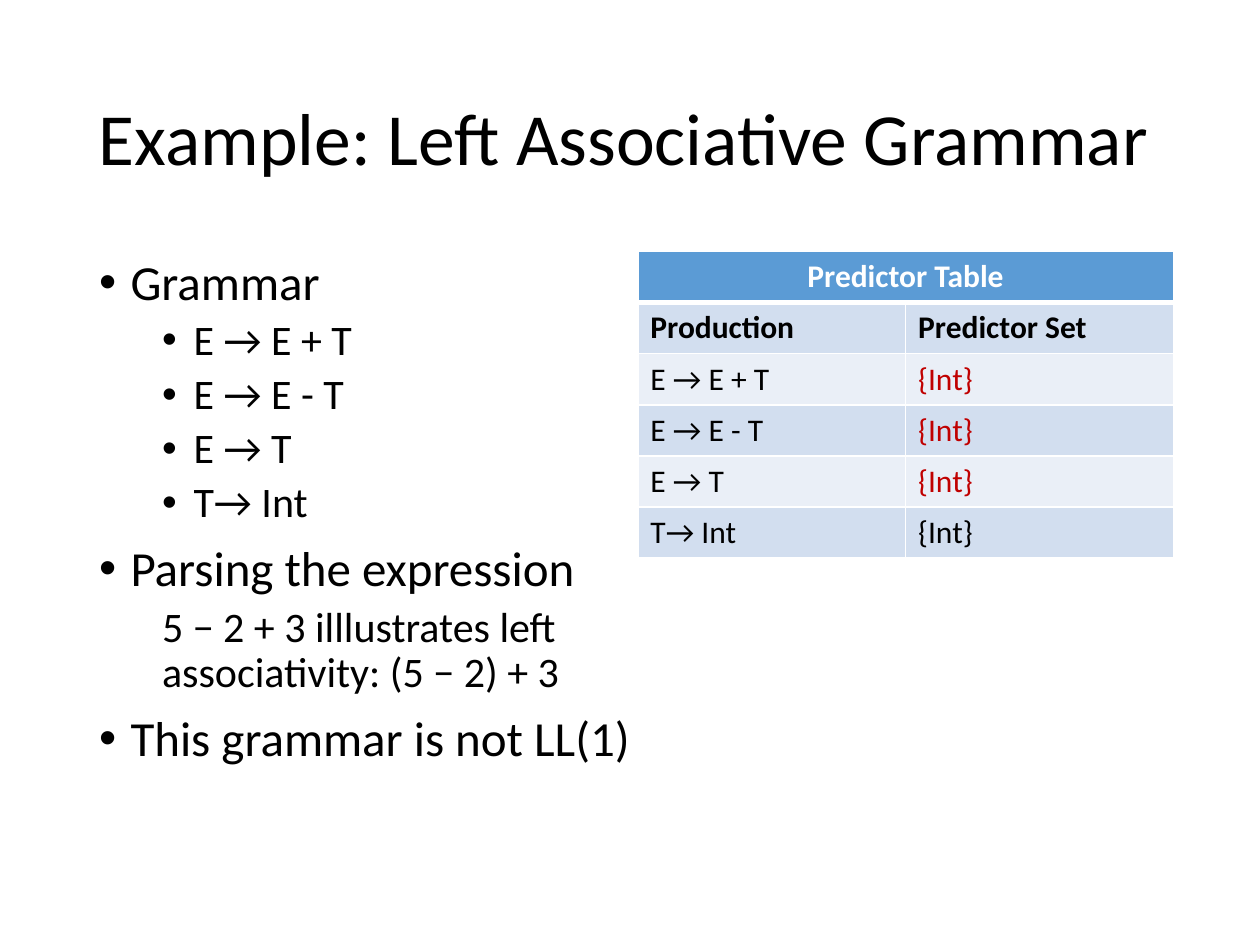
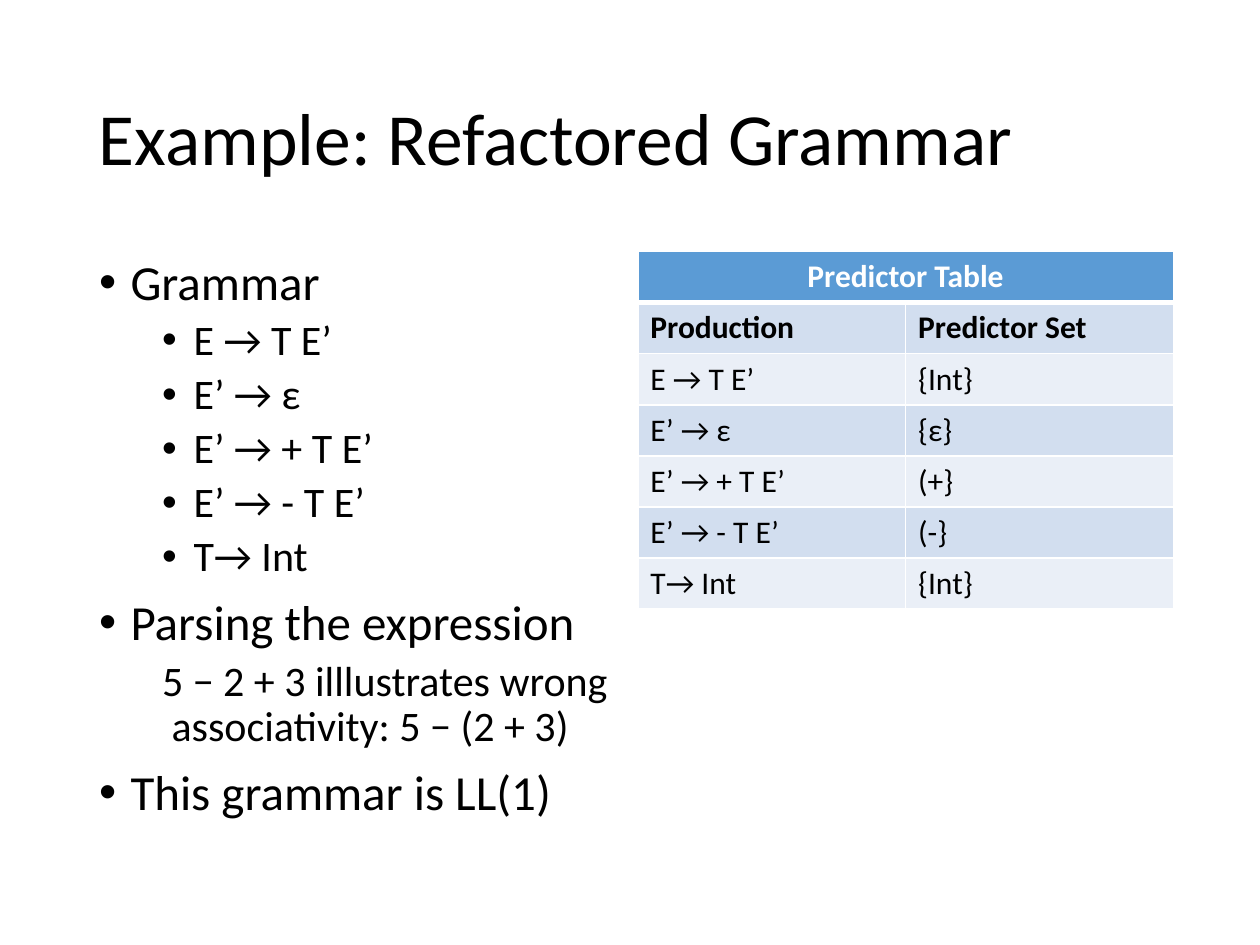
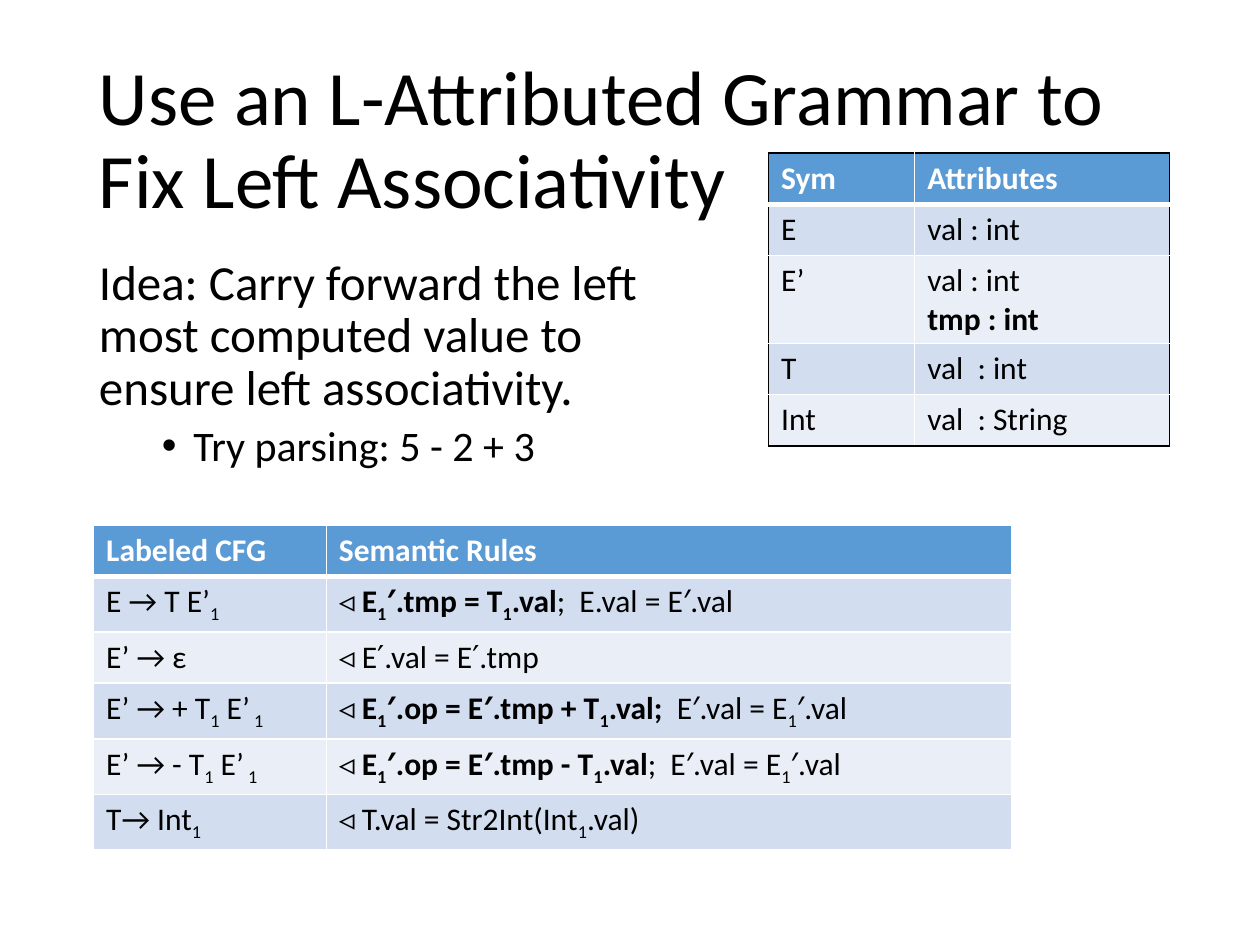
"""Three slides on left associativity in LL(1) grammars."""
import dataclasses

import pptx
import pptx.dml.color
import pptx.enum.text
import pptx.oxml
import pptx.oxml.ns
import pptx.util
from lxml import etree

Pt = pptx.util.Pt
ALIGN = pptx.enum.text.PP_ALIGN
ANCHOR = pptx.enum.text.MSO_ANCHOR


@dataclasses.dataclass(frozen=True)
class Theme:
    """Colours, type sizes and line widths of the deck."""
    font: str = "Calibri"
    ink: str = "000000"
    paper: str = "FFFFFF"
    alert: str = "C00000"
    header: str = "5B9BD5"
    bands: tuple = ("D2DEEF", "EAEFF7")
    title: float = 42
    long_title: float = 44
    body: float = 28
    detail: float = 24
    cell: float = 18
    rule: float = 1
    header_rule: float = 3
    row: float = 29.2


THEME = Theme()
TITLE_BOX = (49.5, 28.75, 621, 104.4)
BODY_TOP, BODY_HEIGHT = 143.75, 342.6

# Paragraph kinds: level, left margin, first-line indent, space before, size, bullet
KINDS = {
    "point": (0, 18, -18, 10, THEME.body, True),
    "plain": (0, 0, 0, 10, THEME.body, False),
    "item": (1, 54, -18, 5, THEME.detail, True),
    "note": (1, 36, 0, 5, THEME.detail, False),
}


def add_child(parent, tag, **attributes):
    """Append a drawing element to parent and return it."""
    child = etree.SubElement(parent, pptx.oxml.ns.qn(tag))
    for name, value in attributes.items():
        child.set(name, str(value))
    return child


def write(para, text, size, color=THEME.ink, bold=False):
    """Fill a paragraph; * toggles bold and ~ toggles subscript."""
    for strong, part in enumerate(text.split("*")):
        for lowered, piece in enumerate(part.split("~")):
            if not piece:
                continue
            span = para.add_run()
            span.text = piece
            formats = {"name": THEME.font, "size": Pt(size),
                       "bold": bold or strong % 2 == 1}
            for name, value in formats.items():
                setattr(span.font, name, value)
            span.font.color.rgb = pptx.dml.color.RGBColor.from_string(color)
            if lowered % 2:
                span.font._element.set("baseline", "-25000")


def add_text_box(page, box, anchor):
    """Add a wrapping text box and return its frame."""
    frame = page.shapes.add_textbox(*map(Pt, box)).text_frame
    frame.word_wrap = True
    frame.vertical_anchor = anchor
    return frame


def add_title(page, text, size=THEME.title):
    """Place the slide title."""
    para = add_text_box(page, TITLE_BOX, ANCHOR.MIDDLE).paragraphs[0]
    para.line_spacing = 0.9
    write(para, text, size)


def add_body(page, box, lines):
    """Place an outline of (kind, text) lines in the box."""
    frame = add_text_box(page, box, ANCHOR.TOP)
    for index, (kind, text) in enumerate(lines):
        level, margin, indent, before, size, bullet = KINDS[kind]
        para = frame.add_paragraph() if index else frame.paragraphs[0]
        formats = {"level": level, "line_spacing": 0.9, "space_before": Pt(before)}
        for name, value in formats.items():
            setattr(para, name, value)
        properties = para._p.get_or_add_pPr()
        properties.set("marL", str(Pt(margin)))
        properties.set("indent", str(Pt(indent)))
        if bullet:
            add_child(properties, "a:buFont", typeface="Arial")
            add_child(properties, "a:buChar", char="•")
        write(para, text, size)


def add_border(cell, edge, color, width):
    """Draw one edge (L, R, T or B) of a cell."""
    line = add_child(cell._tc.get_or_add_tcPr(), "a:ln" + edge, w=Pt(width))
    add_child(add_child(line, "a:solidFill"), "a:srgbClr", val=color)


def style_cell(cell, row, edges, frame_color):
    """Give a cell its borders and banded fill; edges lie on the table's rim."""
    for edge in "LRTB":
        thick = (row, edge) in ((0, "B"), (1, "T"))
        add_border(cell, edge, frame_color if edge in edges else THEME.paper,
                   THEME.header_rule if thick else THEME.rule)
    fill = THEME.bands[(row - 1) % 2] if row else THEME.header
    cell.fill.solid()
    cell.fill.fore_color.rgb = pptx.dml.color.RGBColor.from_string(fill)


def add_grid(page, corner, widths, rows, frame_color=THEME.paper):
    """Place a banded table; a lone header spans all columns, ! marks an alert."""
    size = (sum(widths), THEME.row * len(rows))
    table = page.shapes.add_table(len(rows), len(widths),
                                  *map(Pt, corner + size)).table
    table.first_row = table.horz_banding = False
    for column, width in zip(table.columns, widths):
        column.width = Pt(width)
    for r in range(len(rows)):
        for c in range(len(widths)):
            rim = {"L": c == 0, "R": c == len(widths) - 1,
                   "T": r == 0, "B": r == len(rows) - 1}
            style_cell(table.cell(r, c), r,
                       [edge for edge, outer in rim.items() if outer], frame_color)
    for r, texts in enumerate(rows):
        if len(texts) < len(widths):
            table.cell(r, 0).merge(table.cell(r, len(widths) - 1))
            table.cell(r, 0).text_frame.paragraphs[0].alignment = ALIGN.CENTER
        for c, text in enumerate(texts):
            frame = table.cell(r, c).text_frame
            color = THEME.paper if r == 0 else THEME.ink
            if text.startswith("!"):
                color, text = THEME.alert, text[1:]
            for index, line in enumerate(text.split("\n")):
                para = frame.add_paragraph() if index else frame.paragraphs[0]
                write(para, line, THEME.cell, color, bold=r == 0)


def add_grammar_slide(deck, title, body_width, productions, remark, verdict):
    """Build a slide with a grammar outline and its predictor table."""
    page = deck.slides.add_slide(deck.slide_layouts[6])
    add_title(page, title)
    lines = [("point", "Grammar")]
    lines += [("item", rule) for rule, _ in productions]
    lines += [("point", "Parsing the expression"), ("note", remark), ("point", verdict)]
    add_body(page, (49.5, BODY_TOP, body_width, BODY_HEIGHT), lines)
    heading = [("Predictor Table",), ("*Production*", "*Predictor Set*")]
    add_grid(page, (364.5, BODY_TOP), (153, 153), heading + productions)


def add_attribute_slide(deck):
    """Build the slide on the L-attributed grammar."""
    page = deck.slides.add_slide(deck.slide_layouts[6])
    rules_top = 300.25
    add_grid(page, (53.5, rules_top), (136.8,), [
        ("Labeled CFG",),
        ("E → T E’~1~",),
        ("E’ → ε",),
        ("E’ → + T~1~ E’~ 1~",),
        ("E’ → - T~1~ E’~ 1~",),
        ("T→ Int~1~",),
    ])
    add_title(page, "Use an L-Attributed Grammar to Fix Left Associativity",
              THEME.long_title)
    add_body(page, (49.5, BODY_TOP, 324.75, BODY_HEIGHT), [
        ("plain", "Idea: Carry forward the left most computed value to "
                  "ensure left associativity."),
        ("item", "Try parsing: 5 - 2 + 3"),
    ])
    add_grid(page, (186.5, rules_top), (391.5,), [
        ("Semantic Rules",),
        ("◃ *E~1~′.tmp = T~1~.val*;  E.val = E′.val",),
        ("◃ E′.val = E′.tmp",),
        ("◃ *E~1~′.op = E′.tmp + T~1~.val;  *E′.val = E~1~′.val",),
        ("◃ *E~1~′.op = E′.tmp - T~1~.val*;  E′.val = E~1~′.val",),
        ("◃ T.val = Str2Int(Int~1~.val)",),
    ])
    add_grid(page, (439.2, 87.5), (83.5, 145.5), [
        ("Sym", "Attributes"),
        ("E", "val : int"),
        ("E’", "val : int\n*tmp : int*"),
        ("T", "val  : int"),
        ("Int", "val  : String"),
    ], frame_color=THEME.ink)


def main():
    """Build and save the deck."""
    deck = pptx.Presentation()
    deck.slide_width, deck.slide_height = Pt(720), Pt(540)
    add_grammar_slide(
        deck, "Example: Left Associative Grammar", 328.5,
        [("E → E + T", "!{Int}"), ("E → E - T", "!{Int}"),
         ("E → T", "!{Int}"), ("T→ Int", "{Int}")],
        "5 − 2 + 3 illlustrates left associativity: (5 − 2) + 3",
        "This grammar is not LL(1)")
    add_grammar_slide(
        deck, "Example: Refactored Grammar", 306,
        [("E → T E’", "{Int}"), ("E’ → ε", "{ε}"), ("E’ → + T E’", "(+}"),
         ("E’ → - T E’", "(-}"), ("T→ Int", "{Int}")],
        "5 − 2 + 3 illlustrates wrong \u00a0associativity: 5 − (2 + 3)",
        "This grammar is LL(1)")
    add_attribute_slide(deck)
    deck.save("out.pptx")


main()
